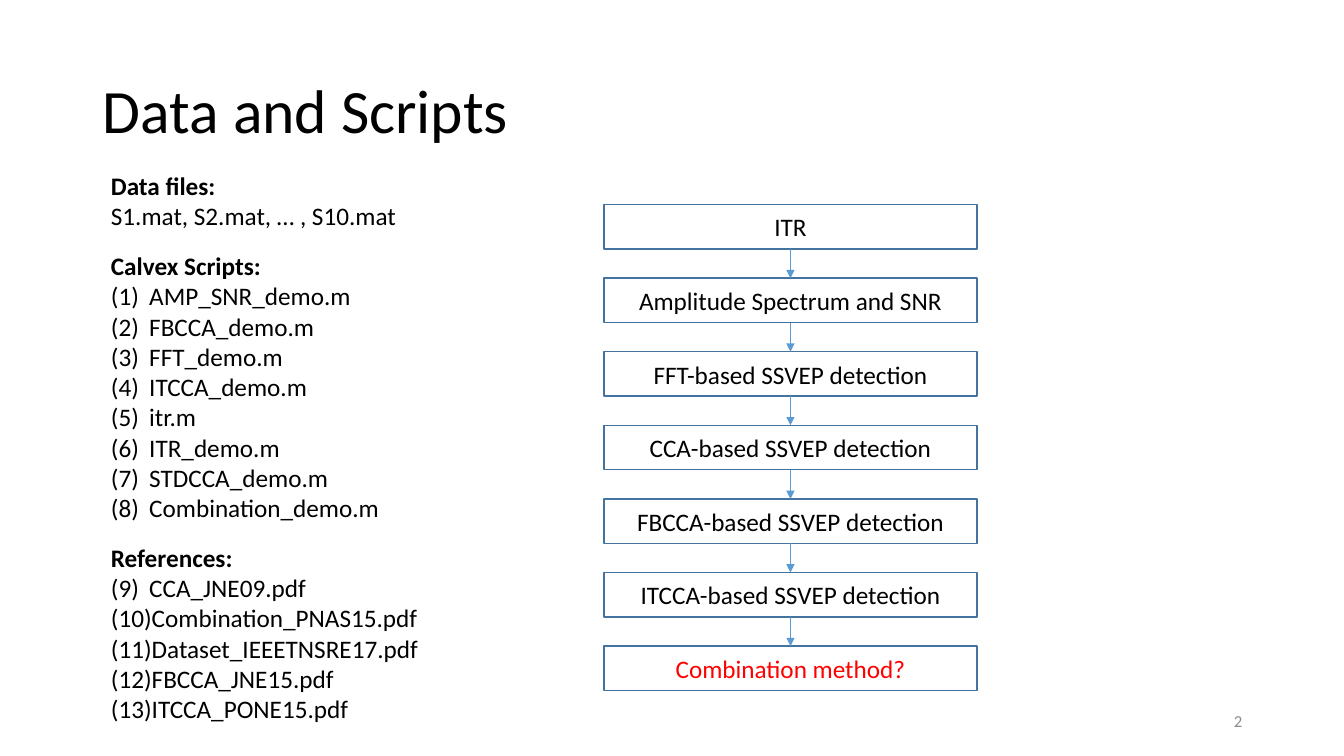
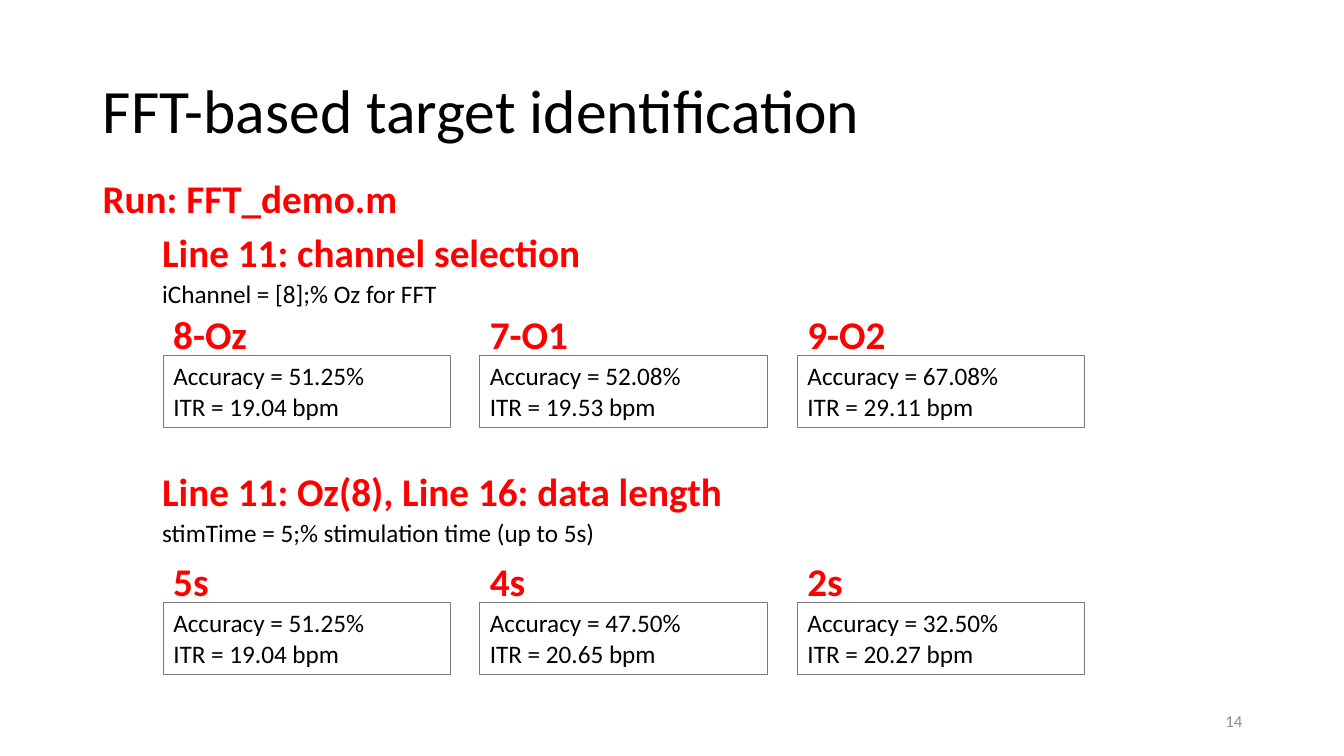
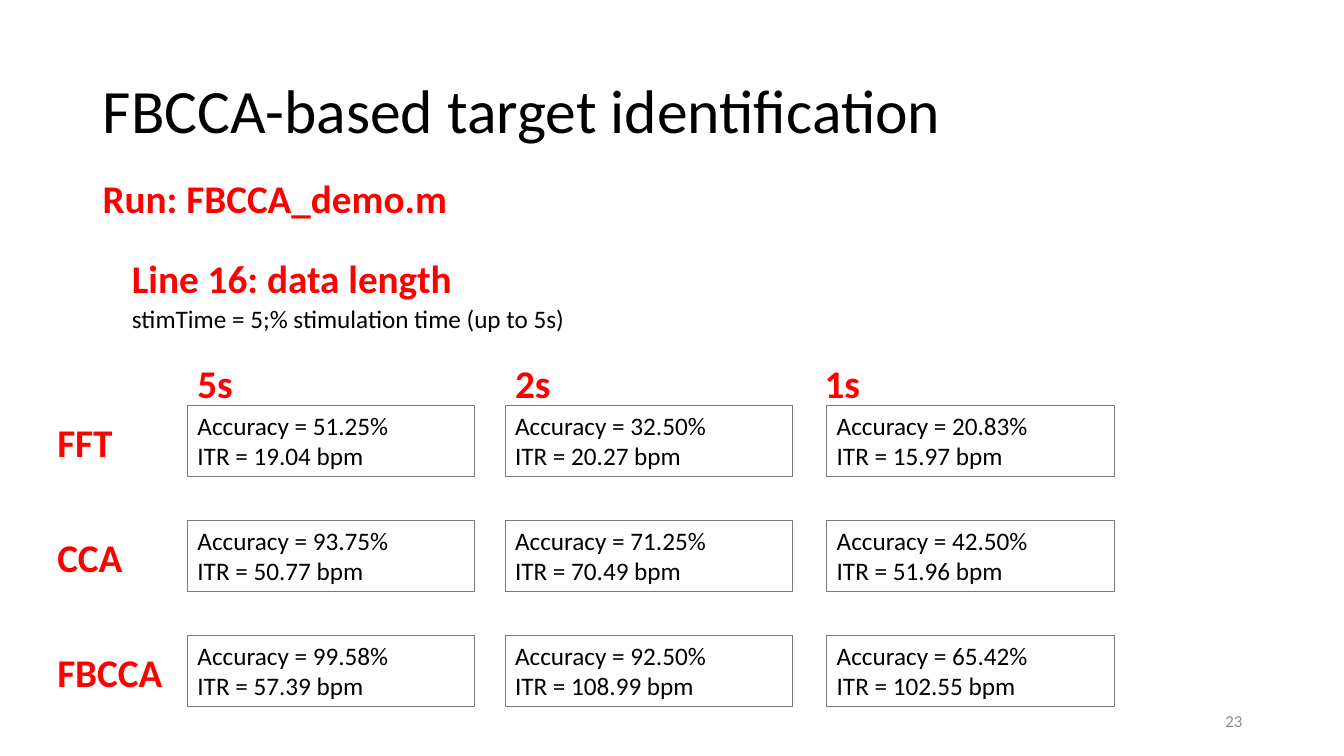
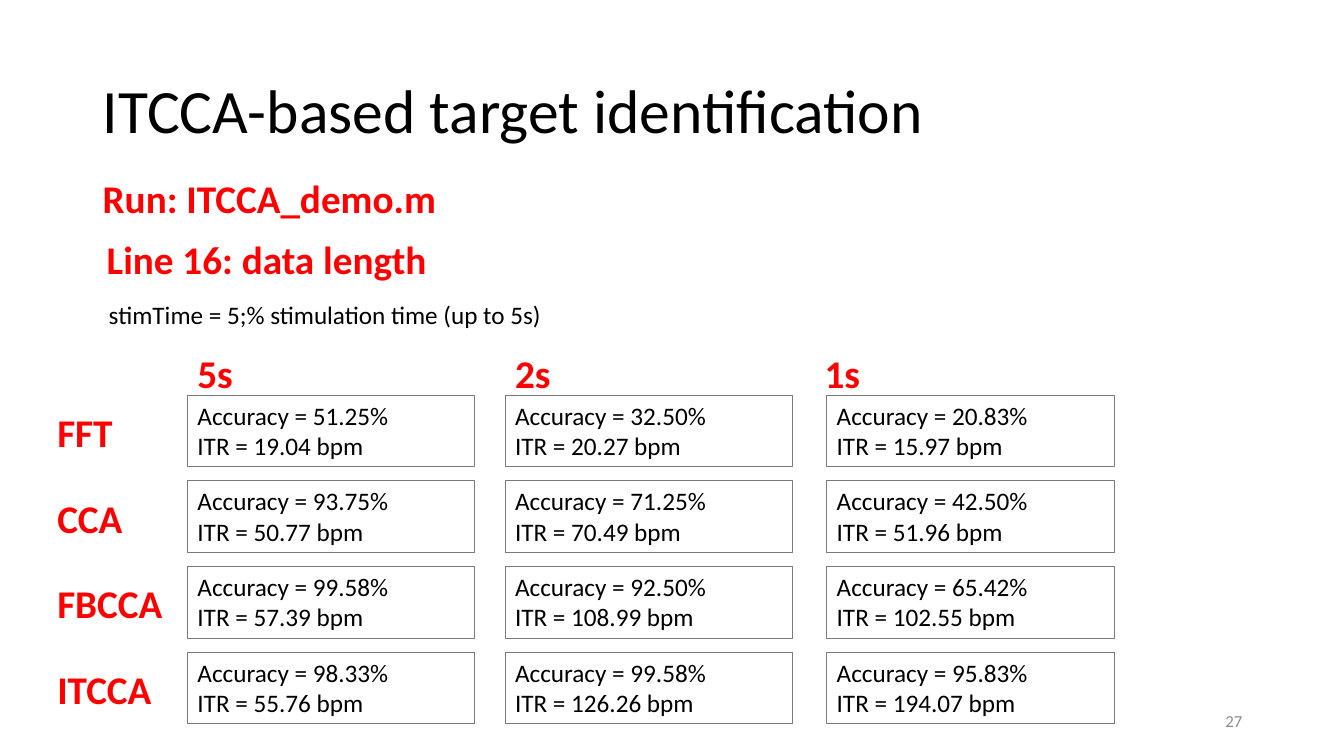
from dataclasses import dataclass
from itertools import pairwise

from lxml.etree import SubElement
from pptx import Presentation
from pptx.dml.color import RGBColor
from pptx.enum.shapes import MSO_CONNECTOR, MSO_SHAPE
from pptx.enum.text import MSO_ANCHOR, MSO_AUTO_SIZE, PP_ALIGN
from pptx.oxml.ns import qn
from pptx.util import Pt

STRAIGHT = MSO_CONNECTOR.STRAIGHT
RECTANGLE = MSO_SHAPE.RECTANGLE
MIDDLE = MSO_ANCHOR.MIDDLE
NO_FIT, GROW = MSO_AUTO_SIZE.NONE, MSO_AUTO_SIZE.SHAPE_TO_FIT_TEXT
LEFT, CENTER, RIGHT = PP_ALIGN.LEFT, PP_ALIGN.CENTER, PP_ALIGN.RIGHT
EMU_PER_PX = 9144
LIST_LAYOUT, TITLE_LAYOUT = 1, 5
BOTTOM_SITE, TOP_SITE = 2, 0


@dataclass(frozen=True)
class Theme:
    """Fonts, colours and type sizes shared by all slides."""

    font: str = "Calibri"
    text: str = "000000"
    accent: str = "FF0000"
    number: str = "8C8C8C"
    step_line: str = "43739E"
    arrow: str = "5B9BD5"
    result_line: str = "7A7A7A"
    title_size: int = 44
    heading_size: int = 28
    body_size: int = 18
    number_size: int = 12


THEME = Theme()
TITLE_BOX = (92, 40, 1150, 145)
NUMBER_BOX = (942, 695, 300, 40)
HEADING_HEIGHT, CODE_HEIGHT = 57, 40
RESULT_WIDTH, RESULT_HEIGHT = 285, 71

FILE_GROUPS = [
    ("Data files:", None, ["S1.mat, S2.mat, … , S10.mat"]),
    ("Calvex Scripts:", 1, [
        "AMP_SNR_demo.m", "FBCCA_demo.m", "FFT_demo.m", "ITCCA_demo.m",
        "itr.m", "ITR_demo.m", "STDCCA_demo.m", "Combination_demo.m"]),
    ("References:", 9, [
        "CCA_JNE09.pdf", "Combination_PNAS15.pdf", "Dataset_IEEETNSRE17.pdf",
        "FBCCA_JNE15.pdf", "ITCCA_PONE15.pdf"]),
]
STEPS = [
    "ITR", "Amplitude Spectrum and SNR", "FFT-based SSVEP detection",
    "CCA-based SSVEP detection", "FBCCA-based SSVEP detection",
    "ITCCA-based SSVEP detection", "Combination method?",
]
STIM_TIME = ("stimTime = 5;% stimulation time (up to 5s)", 455)
DATA_LENGTH = ("Line 16: data length", 341)
LABEL_WIDTHS = {
    "8-Oz": 94, "7-O1": 99, "9-O2": 99, "5s": 56, "4s": 56, "2s": 56, "1s": 56,
    "FFT": 76, "CCA": 86, "FBCCA": 126, "ITCCA": 115,
}
CHANNEL_RESULTS = [("51.25", "19.04"), ("52.08", "19.53"), ("67.08", "29.11")]
LENGTH_RESULTS = [("51.25", "19.04"), ("47.50", "20.65"), ("32.50", "20.27")]
METHOD_RESULTS = {
    "FFT": [("51.25", "19.04"), ("32.50", "20.27"), ("20.83", "15.97")],
    "CCA": [("93.75", "50.77"), ("71.25", "70.49"), ("42.50", "51.96")],
    "FBCCA": [("99.58", "57.39"), ("92.50", "108.99"), ("65.42", "102.55")],
    "ITCCA": [("98.33", "55.76"), ("99.58", "126.26"), ("95.83", "194.07")],
}


def px(*lengths):
    """Turn px lengths into EMU."""
    return [length * EMU_PER_PX for length in lengths]


def rgb(colour):
    """Turn a hex string into a colour."""
    return RGBColor.from_string(colour)


def format_paragraph(paragraph, size, colour, bold=False, align=LEFT):
    """Set the alignment and the font of every run."""
    paragraph.alignment = align
    for run in paragraph.runs:
        run.font.name = THEME.font
        run.font.size = Pt(size)
        run.font.bold = bold
        run.font.color.rgb = rgb(colour)


def write(shape, text, size, colour, bold=False, align=LEFT):
    """Fill a shape with text in one style."""
    shape.text_frame.text = text
    for paragraph in shape.text_frame.paragraphs:
        format_paragraph(paragraph, size, colour, bold, align)


def add_text(slide, box, text, size, colour, bold=False, wrap=False):
    """Add a text box that grows with its text."""
    shape = slide.shapes.add_textbox(*px(*box))
    write(shape, text, size, colour, bold)
    shape.text_frame.word_wrap = wrap
    shape.text_frame.auto_size = GROW
    return shape


def add_heading(slide, left, top, text, width):
    """Add a bold red heading."""
    box = (left, top, width, HEADING_HEIGHT)
    add_text(slide, box, text, THEME.heading_size, THEME.accent, bold=True)


def add_titled_slide(presentation, layout, title_text, number):
    """Add a slide with its title and slide number."""
    slide = presentation.slides.add_slide(presentation.slide_layouts[layout])
    title = slide.shapes.title
    title.left, title.top, title.width, title.height = px(*TITLE_BOX)
    write(title, title_text, THEME.title_size, THEME.text)
    title.text_frame.auto_size = NO_FIT
    title.text_frame.vertical_anchor = MIDDLE
    title.text_frame.paragraphs[0].line_spacing = 0.9
    label = slide.shapes.add_textbox(*px(*NUMBER_BOX))
    write(label, str(number), THEME.number_size, THEME.number, align=RIGHT)
    label.text_frame.word_wrap = True
    label.text_frame.vertical_anchor = MIDDLE
    return slide


def set_numbering(paragraph, start):
    """Number a paragraph from start, or remove its bullet."""
    properties = paragraph._p.get_or_add_pPr()
    indent = px(38)[0] if start else 0
    properties.set("marL", str(indent))
    properties.set("indent", str(-indent))
    if start:
        SubElement(properties, qn("a:buAutoNum"), type="arabicParenBoth", startAt=str(start))
    else:
        SubElement(properties, qn("a:buNone"))


def fill_file_list(body, box):
    """Write the grouped file list into the body placeholder."""
    body.left, body.top, body.width, body.height = px(*box)
    lines = []
    for heading, start, names in FILE_GROUPS:
        lines.append((heading, None, True))
        lines.extend((name, start, False) for name in names)
    body.text_frame.text = "\n".join(text for text, _, _ in lines)
    body.text_frame.auto_size = NO_FIT
    for index, (_, start, bold) in enumerate(lines):
        paragraph = body.text_frame.paragraphs[index]
        format_paragraph(paragraph, THEME.body_size, THEME.text, bold)
        paragraph.space_before = Pt(14 if bold and index else 0)
        set_numbering(paragraph, start)


def add_arrow(slide, source, target):
    """Connect two steps with a downward arrow."""
    arrow = slide.shapes.add_connector(STRAIGHT, 0, 0, 0, 0)
    arrow.begin_connect(source, BOTTOM_SITE)
    arrow.end_connect(target, TOP_SITE)
    arrow.line.color.rgb = rgb(THEME.arrow)
    arrow.line.width = Pt(0.5)
    properties = arrow.element.spPr
    SubElement(properties.find(qn("a:ln")), qn("a:tailEnd"), type="triangle")
    SubElement(properties, qn("a:effectLst"))


def add_flow(slide, left, top, width, height, pitch):
    """Stack the steps and join them; the last one is open."""
    boxes = []
    for index, step in enumerate(STEPS):
        box = slide.shapes.add_shape(RECTANGLE, *px(left, top + index * pitch, width, height))
        box.shadow.inherit = False
        box.fill.background()
        box.line.color.rgb = rgb(THEME.step_line)
        box.line.width = Pt(1)
        colour = THEME.accent if step == STEPS[-1] else THEME.text
        write(box, step, THEME.body_size, colour, align=CENTER)
        box.text_frame.vertical_anchor = MIDDLE
        boxes.append(box)
    for source, target in pairwise(boxes):
        add_arrow(slide, source, target)


def add_setting(slide, left, top, heading, code, code_offset=(0, 49)):
    """Add a heading with its line of code below."""
    add_heading(slide, left, top, *heading)
    text, width = code
    right, down = code_offset
    box = (left + right, top + down, width, CODE_HEIGHT)
    add_text(slide, box, text, THEME.body_size, THEME.text)


def add_result_row(slide, left, top, offsets, results):
    """Add one row of outlined accuracy and ITR boxes."""
    for offset, (accuracy, rate) in zip(offsets, results):
        box = (left + offset, top, RESULT_WIDTH, RESULT_HEIGHT)
        text = f"Accuracy = {accuracy}%\nITR = {rate} bpm"
        shape = add_text(slide, box, text, THEME.body_size, THEME.text, wrap=True)
        shape.line.color.rgb = rgb(THEME.result_line)
        shape.line.width = Pt(0.75)


def add_column_heads(slide, left, top, offsets, labels):
    """Add the red column heads above a row of results."""
    for offset, label in zip(offsets, labels):
        add_heading(slide, left + offset, top - 50, label, LABEL_WIDTHS[label])


def add_method_grid(slide, left, top, pitch, methods):
    """Compare methods in rows and data lengths in columns."""
    add_column_heads(slide, left, top, (0, 315, 622), ("5s", "2s", "1s"))
    for index, method in enumerate(methods):
        row_top = top + index * pitch
        add_heading(slide, left - 139, row_top + 8, method, LABEL_WIDTHS[method])
        add_result_row(slide, left, row_top, (0, 315, 634), METHOD_RESULTS[method])


def build_overview(presentation):
    """Build the slide of files and the order of the demos."""
    slide = add_titled_slide(presentation, LIST_LAYOUT, "Data and Scripts", 2)
    fill_file_list(slide.placeholders[1], (100, 164, 667, 565))
    add_flow(slide, 599, 203, 370, 44, 73)


def add_run_slide(presentation, method, number, run_width):
    """Add a target identification slide with its run heading."""
    title = f"{method}-based target identification"
    slide = add_titled_slide(presentation, TITLE_LAYOUT, title, number)
    add_heading(slide, 92, 168, f"Run: {method}_demo.m", run_width)
    return slide


def build_fft(presentation):
    """Build the FFT slide with its two experiments."""
    slide = add_run_slide(presentation, "FFT", 14, 316)
    experiments = [
        (222, 353, ("Line 11: channel selection", 440), ("iChannel = [8];% Oz for FFT", 296),
         ("8-Oz", "7-O1", "9-O2"), CHANNEL_RESULTS),
        (459, 598, ("Line 11: Oz(8), Line 16: data length", 583), STIM_TIME,
         ("5s", "4s", "2s"), LENGTH_RESULTS),
    ]
    offsets = (0, 314, 629)
    for setting_top, row_top, heading, code, labels, results in experiments:
        add_setting(slide, 151, setting_top, heading, code)
        add_column_heads(slide, 162, row_top, offsets, labels)
        add_result_row(slide, 162, row_top, offsets, results)


def build_fbcca(presentation):
    """Build the FBCCA comparison slide."""
    slide = add_run_slide(presentation, "FBCCA", 23, 366)
    add_setting(slide, 121, 247, DATA_LENGTH, STIM_TIME)
    add_method_grid(slide, 186, 402, 114, ("FFT", "CCA", "FBCCA"))


def build_itcca(presentation):
    """Build the ITCCA comparison slide."""
    slide = add_run_slide(presentation, "ITCCA", 27, 355)
    add_setting(slide, 96, 229, DATA_LENGTH, STIM_TIME, code_offset=(2, 63))
    add_method_grid(slide, 186, 392, 85, METHOD_RESULTS)


def main():
    """Build and save the presentation."""
    presentation = Presentation()
    presentation.slide_width, presentation.slide_height = px(1333, 750)
    for build in (build_overview, build_fft, build_fbcca, build_itcca):
        build(presentation)
    presentation.save("out.pptx")


if __name__ == "__main__":
    main()
